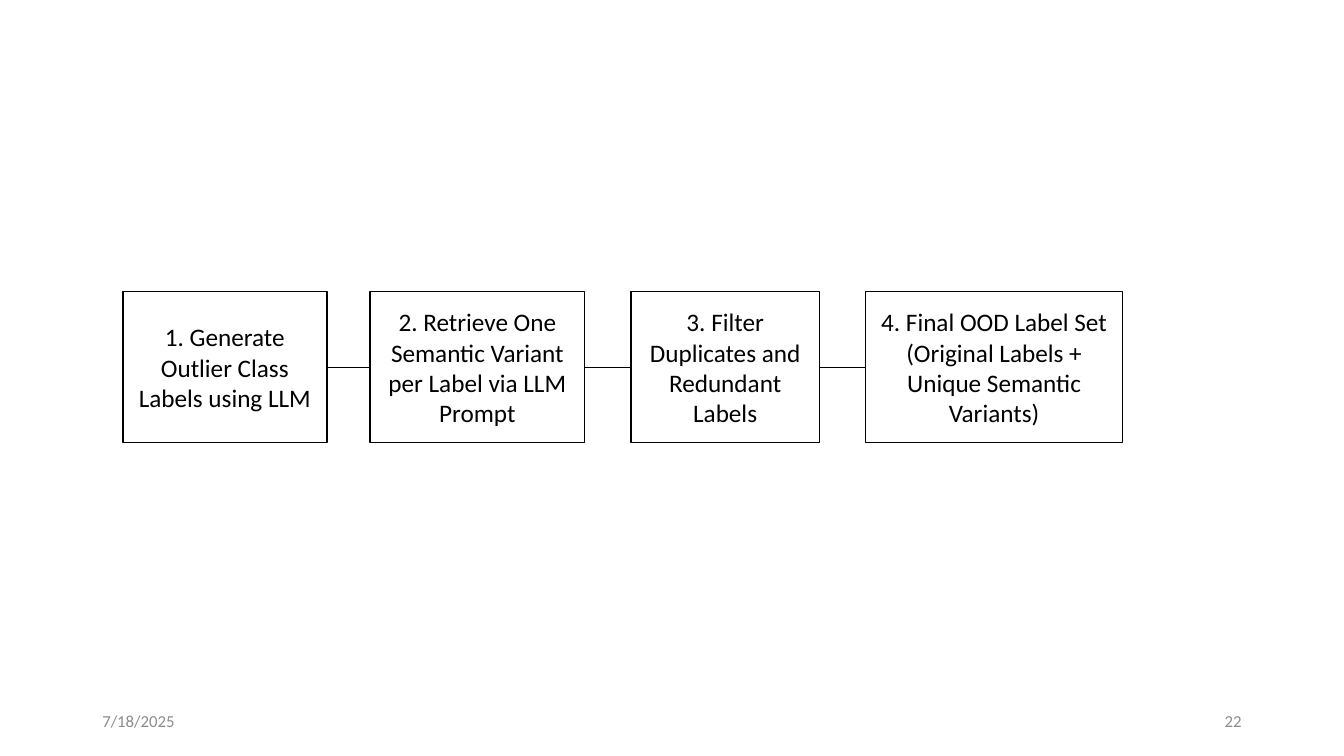
"""Build the four-step outlier label pipeline slide."""
from dataclasses import dataclass
from itertools import pairwise

from pptx import Presentation
from pptx.dml.color import RGBColor
from pptx.enum.shapes import MSO_CONNECTOR, MSO_SHAPE
from pptx.enum.text import MSO_ANCHOR, PP_ALIGN
from pptx.oxml.ns import qn
from pptx.util import Pt
from lxml.etree import SubElement


@dataclass(frozen=True)
class Theme:
    font: str = "Calibri"
    ink: RGBColor = RGBColor(0x00, 0x00, 0x00)
    paper: RGBColor = RGBColor(0xFF, 0xFF, 0xFF)
    muted: RGBColor = RGBColor(0x8C, 0x8C, 0x8C)
    step_size: int = 18
    footer_size: int = 12
    border: float = 1
    link: float = 0.5


class PipelineSlide:
    def __init__(self, presentation, theme):
        self.theme = theme
        self.slide = presentation.slides.add_slide(presentation.slide_layouts[6])

    def set_text(self, shape, text, size, color, alignment):
        frame = shape.text_frame
        frame.word_wrap = True
        frame.vertical_anchor = MSO_ANCHOR.MIDDLE
        paragraph = frame.paragraphs[0]
        paragraph.text = text
        paragraph.alignment = alignment
        font = paragraph.runs[0].font
        for name, value in {"name": self.theme.font, "size": Pt(size)}.items():
            setattr(font, name, value)
        font.color.rgb = color

    def footer(self, text, left, alignment):
        shape = self.slide.shapes.add_textbox(Pt(left), Pt(500.5), Pt(216), Pt(28.75))
        self.set_text(shape, text, self.theme.footer_size, self.theme.muted, alignment)

    def step(self, text, left, width):
        shape = self.slide.shapes.add_shape(
            MSO_SHAPE.RECTANGLE, Pt(left), Pt(208.25), Pt(width), Pt(108)
        )
        shape.shadow.inherit = False
        shape.fill.solid()
        shape.fill.fore_color.rgb = self.theme.paper
        shape.line.color.rgb = self.theme.ink
        shape.line.width = Pt(self.theme.border)
        self.set_text(shape, text, self.theme.step_size, self.theme.ink, PP_ALIGN.CENTER)
        return shape

    def link(self, source, target):
        connector = self.slide.shapes.add_connector(MSO_CONNECTOR.STRAIGHT, 0, 0, 0, 0)
        connector.begin_connect(source, 3)
        connector.end_connect(target, 1)
        connector.line.color.rgb = self.theme.ink
        connector.line.width = Pt(self.theme.link)
        SubElement(connector._element.spPr, qn("a:effectLst"))


STEPS = [
    ("1. Generate Outlier Class Labels using LLM", 87.75, 145.75),
    ("2. Retrieve One Semantic Variant per Label via LLM Prompt", 264.25, 153.5),
    ("3. Filter Duplicates and Redundant Labels", 450.75, 134.5),
    ("4. Final OOD Label Set (Original Labels + Unique Semantic Variants)", 618.25, 183.75),
]


def main():
    presentation = Presentation()
    presentation.slide_width, presentation.slide_height = Pt(960), Pt(540)
    page = PipelineSlide(presentation, Theme())
    page.footer("7/18/2025", 66, PP_ALIGN.LEFT)
    page.footer("22", 678, PP_ALIGN.RIGHT)
    boxes = [page.step(*step) for step in STEPS]
    for source, target in pairwise(boxes):
        page.link(source, target)
    presentation.save("out.pptx")


if __name__ == "__main__":
    main()
